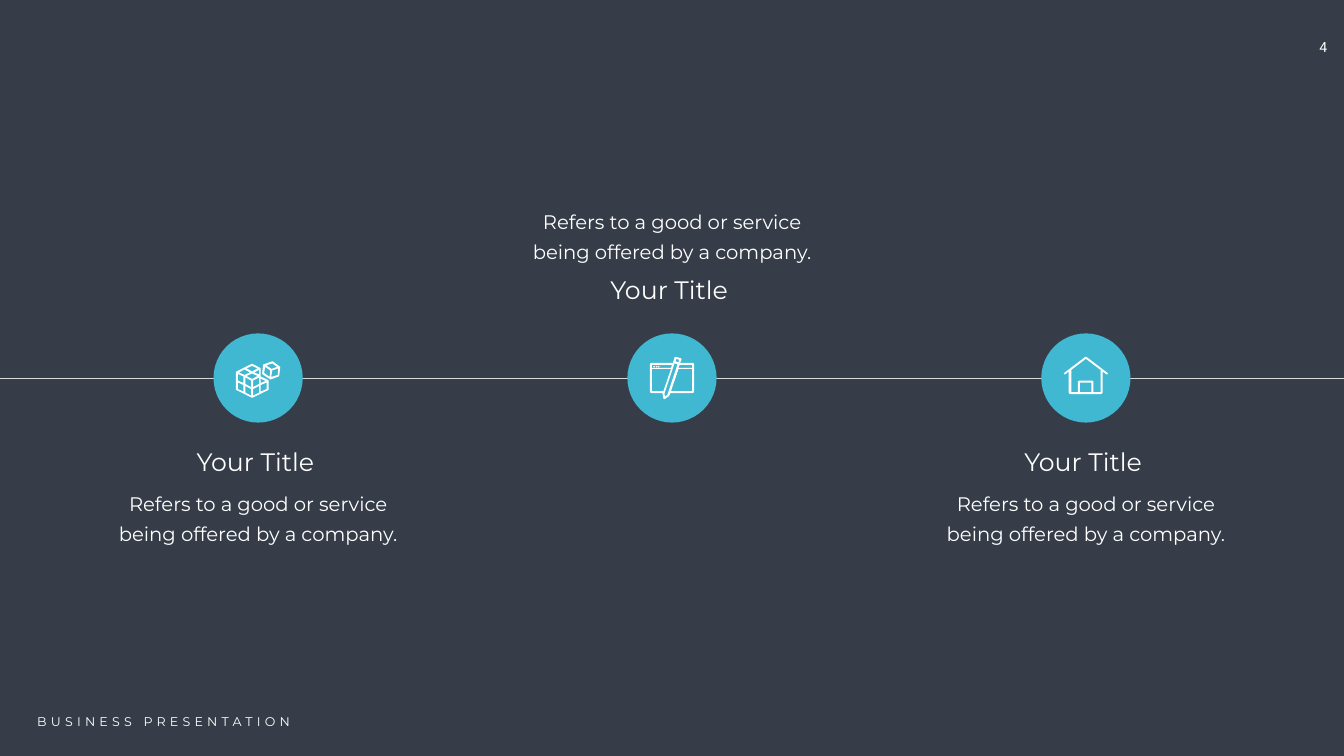
from lxml.etree import SubElement
from pptx import Presentation
from pptx.dml.color import RGBColor
from pptx.enum.shapes import MSO_CONNECTOR, MSO_SHAPE
from pptx.enum.text import MSO_ANCHOR, MSO_AUTO_SIZE, PP_ALIGN
from pptx.oxml.ns import qn
from pptx.util import Inches, Pt

COLORS = {"back": "363D48", "disc": "40B8D1", "rule": "D9D9D9", "ink": "FFFFFF"}
WIDE, HIGH = 26.66, 15
MID = HIGH / 2
STEP = 8.21
DISC = 1.77

# Icon outlines in hundredths of an inch from the disc centre: rim, then holes
BLOCK = [
    [(21, 23), (21, 5), (20, 4), (5, -3), (5, -19), (4, -20), (-11, -28),
     (-13, -28), (-43, -13), (-44, -11), (-44, 23), (-43, 24), (-13, 39),
     (-11, 39), (20, 24)],
    [(5, 14), (17, 9), (17, 22), (5, 27)],
    [(-10, 22), (2, 16), (2, 29), (-10, 35)],
    [(-25, 16), (-14, 22), (-14, 35), (-25, 29)],
    [(-40, 9), (-29, 14), (-29, 27), (-40, 22)],
    [(-27, -17), (-16, -11), (-27, -6), (-38, -11)],
    [(5, 10), (5, 1), (15, 6)],
    [(-29, 10), (-40, 5), (-40, -8), (-29, -3)],
    [(2, -7), (-8, -11), (2, -16)],
    [(-12, 2), (-23, -4), (-12, -9), (-1, -4)],
    [(-10, 5), (2, -1), (2, 12), (-10, 18)],
    [(-25, -1), (-14, 5), (-14, 18), (-25, 12)],
    [(-12, -24), (-1, -19), (-12, -13), (-23, -19)],
]
CUBE = [
    [(44, -22), (29, -33), (28, -33), (11, -27), (10, -26), (8, -9), (9, -7),
     (23, 2), (25, 3), (41, -3), (42, -5)],
    [(14, -22), (24, -15), (23, -2), (12, -10)],
    [(28, -29), (38, -22), (27, -18), (16, -25)],
    [(39, -6), (26, -2), (28, -15), (40, -19)],
]
PAGE = [
    [(40, -30), (16, -30), (19, -36), (18, -39), (8, -42), (5, -41), (2, -30),
     (-40, -30), (-43, -29), (-44, -25), (-44, 25), (-43, 29), (-40, 30),
     (-19, 30), (-17, 41), (-15, 42), (-6, 36), (-3, 30), (40, 30), (43, 29),
     (44, 25), (44, -25), (43, -29)],
    [(40, 26), (-2, 26), (13, -18), (40, -18)],
    [(-14, 37), (-15, 31), (5, -29), (11, -27), (-9, 33)],
    [(-40, 26), (-40, -18), (-2, -18), (-17, 26)],
    [(-40, -26), (0, -26), (-2, -20), (-40, -20)],
    [(9, -38), (14, -36), (13, -31), (7, -33)],
    [(40, -26), (40, -20), (13, -20), (15, -26)],
]
HOUSE = [
    [(43, -10), (1, -42), (-1, -42), (-43, -10), (-44, -8), (-41, -7),
     (-34, -13), (-34, 29), (-33, 31), (-30, 32), (30, 32), (32, 31),
     (33, 29), (33, -13), (41, -7), (44, -8)],
    [(29, 28), (15, 28), (15, 7), (13, 5), (-13, 5), (-16, 7), (-16, 28),
     (-29, 28), (-29, -16), (0, -38), (29, -16)],
    [(-12, 9), (11, 9), (11, 28), (-12, 28)],
]
DOTS = [-37, -32, -28]


def color(name):
    return RGBColor.from_string(COLORS[name])


def text(slide, words, box, size, font="Montserrat", align=PP_ALIGN.CENTER,
         pad=(0.1, 0.05), lead=None, track=None, wrap=True, shape=None):
    """Write words in a new text box, or in the given placeholder."""
    left, top, width, height = map(Inches, box)
    if shape is None:
        shape = slide.shapes.add_textbox(left, top, width, height)
    shape.left, shape.top, shape.width, shape.height = left, top, width, height
    frame = shape.text_frame
    frame.auto_size = MSO_AUTO_SIZE.NONE
    frame.word_wrap = wrap
    frame.vertical_anchor = MSO_ANCHOR.TOP
    frame.margin_left = frame.margin_right = Inches(pad[0])
    frame.margin_top = frame.margin_bottom = Inches(pad[1])
    para = frame.paragraphs[0]
    para.alignment = align
    para.space_before = Pt(0)
    para.line_spacing = Pt(lead) if lead else 1.0
    run = para.add_run()
    run.text = words
    run.font.size, run.font.name = Pt(size), font
    run.font.color.rgb = color("ink")
    if track:
        run.font._element.set("spc", str(track * 100))


def paint(shape, name):
    shape.shadow.inherit = False
    shape.fill.solid()
    shape.fill.fore_color.rgb = color(name)
    shape.line.fill.background()


def oval(slide, left, top, size, name):
    shape = slide.shapes.add_shape(
        MSO_SHAPE.OVAL, Inches(left), Inches(top), Inches(size), Inches(size))
    paint(shape, name)


def glyph(slide, loops, x, y):
    """Draw closed loops around the point x, y as one outline."""
    form = slide.shapes.build_freeform(*loops[0][0], scale=Inches(0.01))
    form.add_line_segments(loops[0][1:], close=True)
    for loop in loops[1:]:
        form.move_to(*loop[0])
        form.add_line_segments(loop[1:], close=True)
    paint(form.convert_to_shape(Inches(x), Inches(y)), "ink")


def rule(slide, y):
    line = slide.shapes.add_connector(
        MSO_CONNECTOR.STRAIGHT, 0, Inches(y), Inches(WIDE), Inches(y))
    line.line.color.rgb = color("rule")
    line.line.width = Pt(0.5)
    SubElement(line._element.spPr, qn("a:effectLst"))


def stop(slide, box, icon, dots, tops, shape=None):
    """Place one stop of the line: disc, icon, heading and body."""
    left, top, width, height = box
    x, y = left + width / 2, top + height / 2
    oval(slide, x - DISC / 2, y - DISC / 2, DISC, "disc")
    for loops in icon:
        glyph(slide, loops, x, y)
    for dot in dots:
        oval(slide, x + dot / 100, y - 0.24, 0.03, "ink")
    head, body = tops
    text(slide, "Your Title", (x - 2.46, y + head, 4.81, 0.71), 36, shape=shape)
    text(slide, "Refers to a good or service being offered by a company.",
         (left, y + body, width, 1.39), 28, pad=(0.24, 0.12), lead=43)


def main():
    deck = Presentation()
    deck.slide_width, deck.slide_height = Inches(WIDE), Inches(HIGH)
    slide = deck.slides.add_slide(deck.slide_layouts[5])
    slide.background.fill.solid()
    slide.background.fill.fore_color.rgb = color("back")

    # Page number and footer
    text(slide, "4", (25.8, 0.67, 0.9, 0.54), 20, font="Roboto",
         pad=(0.2, 0.1), wrap=False)
    text(slide, "BUSINESS PRESENTATION", (0.64, 14.12, 6.05, 0.4), 18,
         align=PP_ALIGN.LEFT, track=6)

    # Line with three stops; the middle one has its text above
    rule(slide, MID)
    above, below = (-2.1, -3.58), (1.3, 2.01)
    stops = [
        ([BLOCK, CUBE], [], below, None),
        ([PAGE], DOTS, above, slide.shapes.title),
        ([HOUSE], [], below, None),
    ]
    for i, parts in enumerate(stops):
        x = WIDE / 2 + (i - 1) * STEP
        stop(slide, (x - 3.05, MID - DISC / 2, 6.1, DISC), *parts)

    deck.save("out.pptx")


if __name__ == "__main__":
    main()
